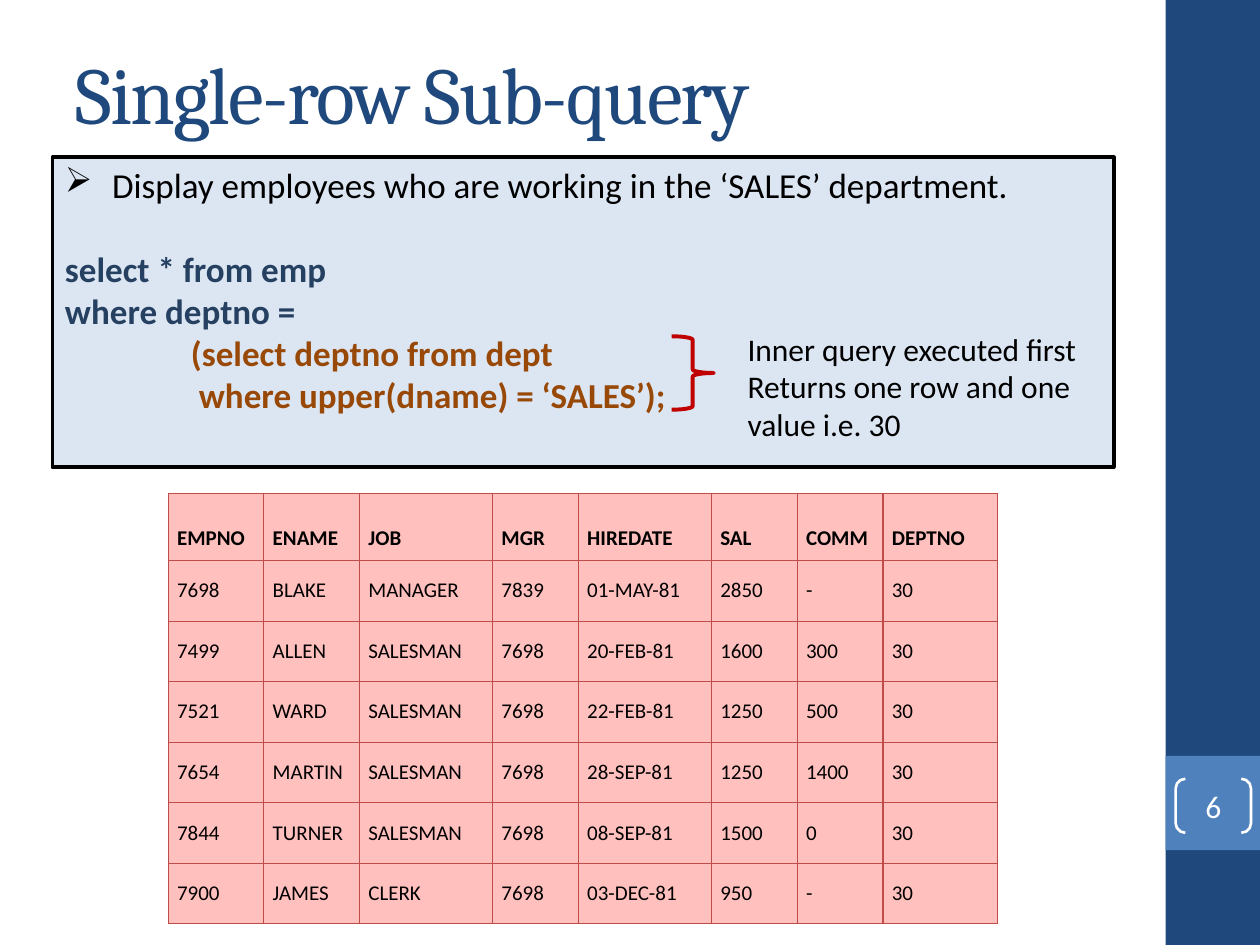
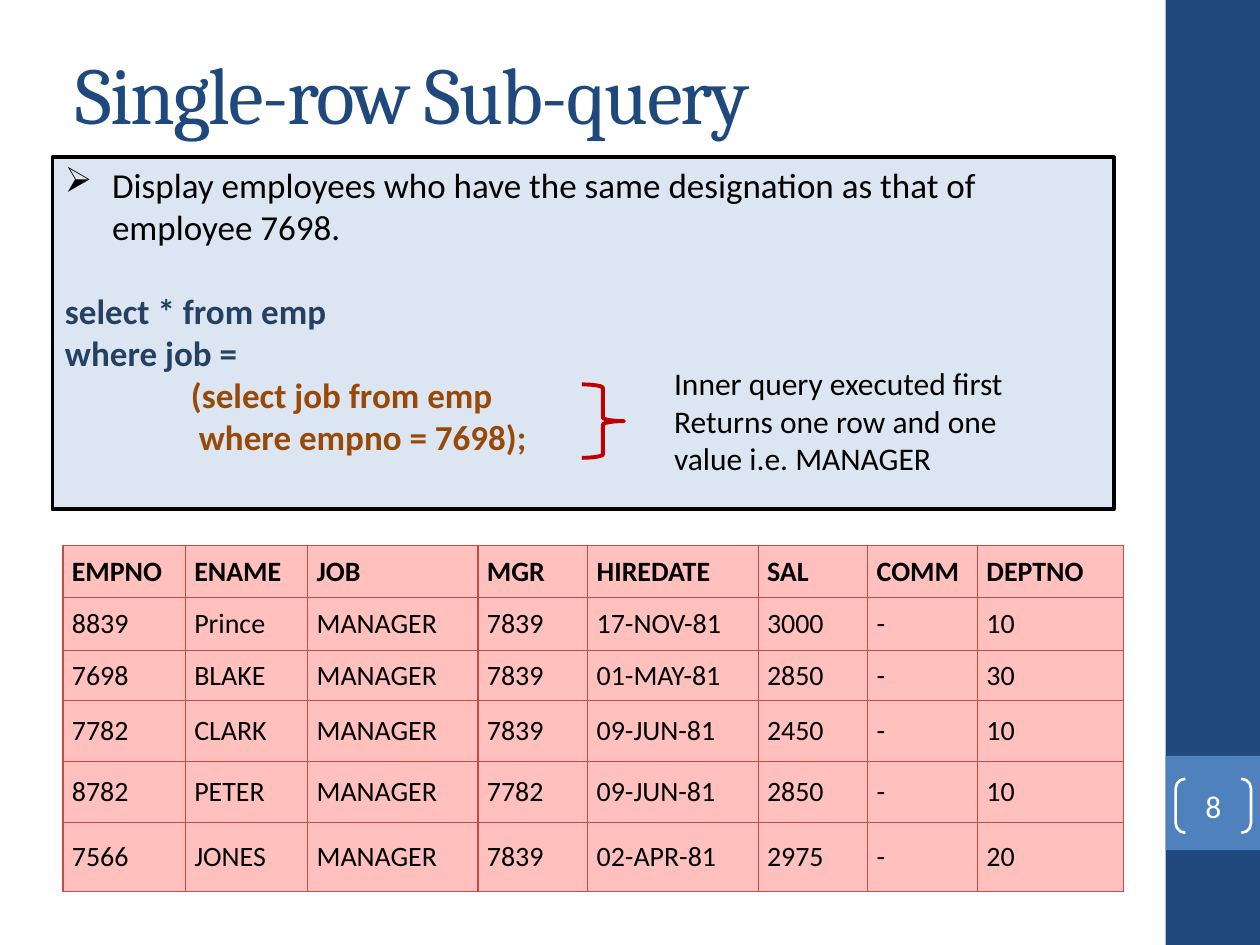
import pptx
import pptx.util
import pptx.dml.color
import pptx.enum.shapes
import pptx.enum.text
import pptx.oxml.ns
import lxml.etree

Cm = pptx.util.Cm
Pt = pptx.util.Pt
RGBColor = pptx.dml.color.RGBColor
SHAPES = pptx.enum.shapes.MSO_SHAPE
ANCHOR = pptx.enum.text.MSO_ANCHOR
ALIGN = pptx.enum.text.PP_ALIGN
qn = pptx.oxml.ns.qn

NAVY = RGBColor(0x1F, 0x49, 0x7D)
BLUE = RGBColor(0x4F, 0x81, 0xBD)
PALE_BLUE = RGBColor(0xDC, 0xE6, 0xF2)
OUTER_QUERY = RGBColor(0x25, 0x40, 0x61)
INNER_QUERY = RGBColor(0x98, 0x48, 0x07)
RED = RGBColor(0xC0, 0x00, 0x00)
PINK = RGBColor(0xFF, 0xC0, 0xBE)
TABLE_LINE = RGBColor(0xBF, 0x4C, 0x48)
BLACK = RGBColor(0, 0, 0)
WHITE = RGBColor(0xFF, 0xFF, 0xFF)

HEADERS = ["EMPNO", "ENAME", "JOB", "MGR", "HIREDATE", "SAL", "COMM", "DEPTNO"]
COLUMN_SHARES = [97, 97, 135, 87, 135, 87, 87, 116]

SLIDES = [
    {
        "number": "6",
        "task": "Display employees who are working in the ‘SALES’ department.",
        "outer": ["select * from emp", "where deptno ="],
        "inner": ["(select deptno from dept", "where upper(dname) = ‘SALES’);"],
        "result": "Returns one row and one value i.e. 30",
        "box_height": 6.25,
        "brace": (13.54, 6.78),
        "note": (14.82, 6.52),
        "table": (3.39, 9.95, 16.72),
        "row_heights": [1.35] + [1.22] * 6,
        "table_size": 12,
        "rows": [
            ["7698", "BLAKE", "MANAGER", "7839", "01-MAY-81", "2850", "-", "30"],
            ["7499", "ALLEN", "SALESMAN", "7698", "20-FEB-81", "1600", "300", "30"],
            ["7521", "WARD", "SALESMAN", "7698", "22-FEB-81", "1250", "500", "30"],
            ["7654", "MARTIN", "SALESMAN", "7698", "28-SEP-81", "1250", "1400", "30"],
            ["7844", "TURNER", "SALESMAN", "7698", "08-SEP-81", "1500", "0", "30"],
            ["7900", "JAMES", "CLERK", "7698", "03-DEC-81", "950", "-", "30"],
        ],
    },
    {
        "number": "8",
        "task": "Display employees who have the same designation as that of employee 7698.",
        "outer": ["select * from emp", "where job ="],
        "inner": ["(select job from emp", "where empno = 7698);"],
        "result": "Returns one row and one value i.e. MANAGER",
        "box_height": 7.1,
        "brace": (11.73, 7.75),
        "note": (13.34, 7.21),
        "table": (1.27, 11, 21.39),
        "row_heights": [1.05, 1.06, 1.01, 1.23, 1.23, 1.4],
        "table_size": 16,
        "rows": [
            ["8839", "Prince", "MANAGER", "7839", "17-NOV-81", "3000", "-", "10"],
            ["7698", "BLAKE", "MANAGER", "7839", "01-MAY-81", "2850", "-", "30"],
            ["7782", "CLARK", "MANAGER", "7839", "09-JUN-81", "2450", "-", "10"],
            ["8782", "PETER", "MANAGER", "7782", "09-JUN-81", "2850", "-", "10"],
            ["7566", "JONES", "MANAGER", "7839", "02-APR-81", "2975", "-", "20"],
        ],
    },
]


def add_run(paragraph, text, size, color, bold=False, font="Calibri"):
    run = paragraph.add_run()
    run.text = text
    run.font.name = font
    run.font.size = Pt(size)
    run.font.bold = bold
    run.font.color.rgb = color
    return run


def add_shape(slide, kind, left, top, width, height, fill=None, line=None, line_width=2.25):
    shape = slide.shapes.add_shape(kind, Cm(left), Cm(top), Cm(width), Cm(height))
    shape.shadow.inherit = False
    if fill is None:
        shape.fill.background()
    else:
        shape.fill.solid()
        shape.fill.fore_color.rgb = fill
    if line is None:
        shape.line.fill.background()
    else:
        shape.line.color.rgb = line
        shape.line.width = Pt(line_width)
    return shape


presentation = pptx.Presentation()
presentation.slide_width = Cm(25.4)
presentation.slide_height = Cm(19.05)

for content in SLIDES:
    slide = presentation.slides.add_slide(presentation.slide_layouts[5])

    add_shape(slide, SHAPES.RECTANGLE, 23.5, 0, 1.9, 19.05, fill=NAVY)
    add_shape(slide, SHAPES.RECTANGLE, 23.5, 15.24, 1.9, 1.9, fill=BLUE)
    page_number = add_shape(slide, SHAPES.DOUBLE_BRACKET, 23.7, 15.7, 1.52, 1.09, line=WHITE, line_width=1.5)
    page_number.adjustments[0] = 0.18
    frame = page_number.text_frame
    frame.margin_left = frame.margin_right = frame.margin_top = frame.margin_bottom = 0
    frame.vertical_anchor = ANCHOR.MIDDLE
    frame.paragraphs[0].alignment = ALIGN.CENTER
    add_run(frame.paragraphs[0], content["number"], 18, WHITE)

    title = slide.shapes.title
    title.left, title.top, title.width, title.height = Cm(1.27), Cm(0.76), Cm(21.16), Cm(2.21)
    title.text_frame.auto_size = pptx.enum.text.MSO_AUTO_SIZE.NONE
    title.text_frame.vertical_anchor = ANCHOR.MIDDLE
    title.text_frame.paragraphs[0].alignment = ALIGN.LEFT
    title_run = add_run(title.text_frame.paragraphs[0], "Single-row Sub-query", 46, NAVY, font="Cambria")
    title_run.font._element.set("spc", "-100")

    query_box = add_shape(slide, SHAPES.RECTANGLE, 1.06, 3.17, 21.39, content["box_height"], PALE_BLUE, BLACK)
    frame = query_box.text_frame
    frame.word_wrap = True
    frame.vertical_anchor = ANCHOR.TOP
    task = frame.paragraphs[0]
    task.alignment = ALIGN.LEFT
    add_run(task, content["task"], 20, BLACK)
    properties = task._p.get_or_add_pPr()
    properties.set("marL", str(Cm(0.95)))
    properties.set("indent", str(-Cm(0.95)))
    lxml.etree.SubElement(properties, qn("a:buChar")).set("char", "➢")

    query_lines = [(text, OUTER_QUERY, 0) for text in content["outer"]]
    query_lines += [(text, INNER_QUERY, indent) for text, indent in zip(content["inner"], (2.54, 2.7))]
    for index, (text, color, indent) in enumerate(query_lines):
        paragraph = frame.add_paragraph()
        paragraph.alignment = ALIGN.LEFT
        paragraph.space_before = Pt(24 if index == 0 else 0)
        paragraph._p.get_or_add_pPr().set("marL", str(Cm(indent)))
        add_run(paragraph, text, 20, color, bold=True)

    left, top, width = content["table"]
    heights = content["row_heights"]
    table = slide.shapes.add_table(
        len(heights), len(HEADERS), Cm(left), Cm(top), Cm(width), Cm(sum(heights))
    ).table
    table.first_row = False
    table.horz_banding = False
    for column, share in zip(table.columns, COLUMN_SHARES):
        column.width = Cm(width * share / sum(COLUMN_SHARES))
    for row_index, values in enumerate([HEADERS] + content["rows"]):
        is_header = row_index == 0
        table.rows[row_index].height = Cm(heights[row_index])
        for column_index, value in enumerate(values):
            cell = table.cell(row_index, column_index)
            cell.margin_left = cell.margin_right = Cm(0.18)
            cell.margin_top = cell.margin_bottom = Cm(0.18 if is_header else 0.09)
            cell.vertical_anchor = ANCHOR.BOTTOM if is_header else ANCHOR.MIDDLE
            add_run(cell.text_frame.paragraphs[0], value, content["table_size"], BLACK, bold=is_header)
            cell_properties = cell._tc.get_or_add_tcPr()
            for side in ("a:lnL", "a:lnR", "a:lnT", "a:lnB"):
                border = lxml.etree.SubElement(cell_properties, qn(side), w=str(Pt(0.75)))
                border_fill = lxml.etree.SubElement(border, qn("a:solidFill"))
                lxml.etree.SubElement(border_fill, qn("a:srgbClr"), val=str(TABLE_LINE))
            cell.fill.solid()
            cell.fill.fore_color.rgb = PINK

    add_shape(slide, SHAPES.RIGHT_BRACE, *content["brace"], 0.85, 1.48, line=RED)

    left, top = content["note"]
    note = slide.shapes.add_textbox(Cm(left), Cm(top), Cm(7.2), Cm(2.57))
    note.text_frame.word_wrap = True
    add_run(note.text_frame.paragraphs[0], "Inner query executed first", 18, BLACK)
    add_run(note.text_frame.add_paragraph(), content["result"], 18, BLACK)

presentation.save("out.pptx")
